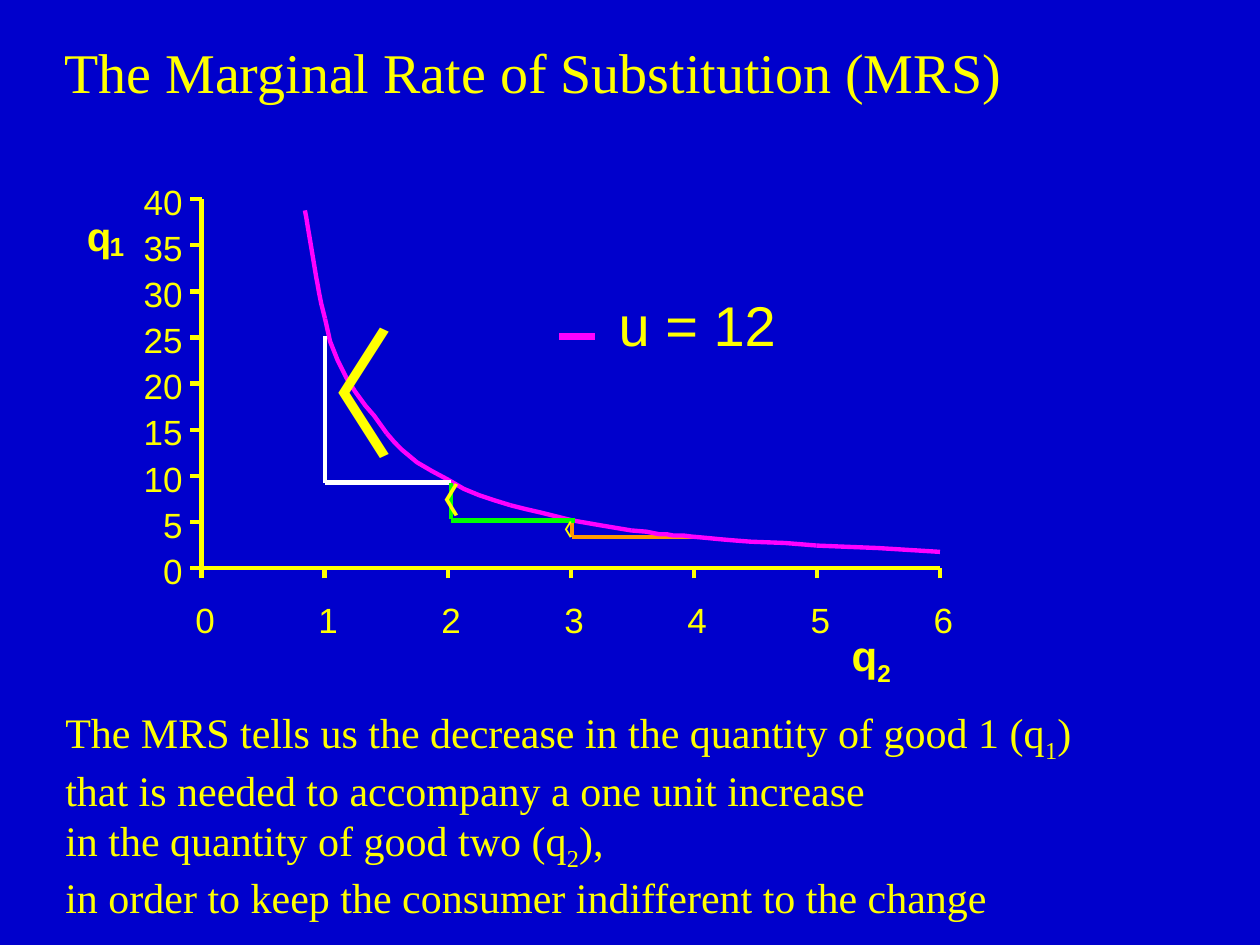
"""Build the slide on the marginal rate of substitution."""
from itertools import pairwise

from lxml import etree
from pptx import Presentation
from pptx.dml.color import RGBColor
from pptx.enum.shapes import MSO_CONNECTOR
from pptx.enum.text import MSO_ANCHOR, MSO_AUTO_SIZE, PP_ALIGN
from pptx.oxml.ns import qn
from pptx.util import Inches, Pt

BLUE = RGBColor(0x00, 0x00, 0xCC)
YELLOW = RGBColor(0xFF, 0xFF, 0x00)
MAGENTA = RGBColor(0xFF, 0x00, 0xFF)
ORANGE = RGBColor(0xFF, 0x99, 0x00)
WHITE = RGBColor(0xFF, 0xFF, 0xFF)
GREEN = RGBColor(0x00, 0xFF, 0x00)
SANS, SERIF = "Arial", "Times New Roman"

prs = Presentation()
prs.slide_width, prs.slide_height = Inches(10), Inches(7.5)
s = prs.slides.add_slide(prs.slide_layouts[5])
s.background.fill.solid()
s.background.fill.fore_color.rgb = BLUE


def add_line(x1, y1, x2, y2, color, width=2.5):
    """Draw a straight line between two points in inches."""
    ln = s.shapes.add_connector(
        MSO_CONNECTOR.STRAIGHT, Inches(x1), Inches(y1), Inches(x2), Inches(y2))
    ln.line.color.rgb = color
    ln.line.width = Pt(width)
    etree.SubElement(ln._element.spPr, qn("a:effectLst"))


def add_text(at, paragraphs, size, font=SANS, bold=False, inset=0, wrap=False, sp=None):
    """Write paragraphs of runs, in which every second run is a subscript."""
    box = [Inches(v) for v in at]
    sp = sp or s.shapes.add_textbox(*box)
    sp.left, sp.top, sp.width, sp.height = box
    tf = sp.text_frame
    tf.word_wrap = wrap
    tf.auto_size = MSO_AUTO_SIZE.SHAPE_TO_FIT_TEXT
    tf.vertical_anchor = MSO_ANCHOR.TOP
    tf.margin_left = tf.margin_right = Inches(inset)
    tf.margin_top = tf.margin_bottom = Inches(inset / 2)
    for i, runs in enumerate(paragraphs):
        p = tf.add_paragraph() if i else tf.paragraphs[0]
        p.alignment = PP_ALIGN.LEFT
        for j, text in enumerate(runs):
            r = p.add_run()
            r.text = text
            r.font.size, r.font.name, r.font.bold = Pt(size), font, bold
            r.font.color.rgb = YELLOW
            if j % 2:
                r.font._element.set("baseline", "-25000")


add_text((0.41, 0.25, 7.65, 0.64), [["The Marginal Rate of Substitution (MRS)"]],
         32, SERIF, inset=0.1, sp=s.shapes.title)

add_line(4.54, 4.26, 5.54, 4.26, ORANGE)
add_line(4.54, 4.26, 4.54, 4.12, ORANGE)

X0, Y0, X_END, Y_END = 1.6, 4.51, 7.46, 1.58
X_STEP, Y_STEP = (X_END - X0) / 6, (Y0 - Y_END) / 8
add_line(X0, Y_END, X0, Y0, YELLOW)
add_line(X0, Y0, X_END, Y0, YELLOW)
for i in range(9):
    y = Y0 - i * Y_STEP
    label = str(5 * i)
    width = 0.155 * len(label)
    add_line(X0 - 0.09, y, X0, y, YELLOW)
    add_text((1.45 - width, y - 0.15, width, 0.33), [[label]], 20)
for i in range(7):
    x = X0 + i * X_STEP
    add_line(x, Y0 + 0.08, x, Y0, YELLOW)
    add_text((x - 0.05, 4.75, 0.16, 0.33), [[str(i)]], 20)

add_text((6.76, 5, 0.4, 0.46), [["q", "2"]], 24, bold=True, wrap=True)
add_text((0.69, 1.68, 0.2, 0.38), [["q"]], 23, bold=True)
add_text((0.87, 1.83, 0.12, 0.25), [["1"]], 15, bold=True)

curve = [
    (2.42, 1.67), (2.43, 1.72), (2.44, 1.78), (2.46, 1.9), (2.48, 2.02),
    (2.5, 2.14), (2.51, 2.2), (2.52, 2.25), (2.53, 2.31), (2.54, 2.36),
    (2.55, 2.41), (2.56, 2.45), (2.57, 2.49), (2.58, 2.53),
    (2.62, 2.71), (2.68, 2.86), (2.75, 3), (2.82, 3.11), (2.9, 3.22),
    (2.97, 3.3), (3.02, 3.37), (3.07, 3.44),
    (3.13, 3.51), (3.19, 3.57), (3.25, 3.62), (3.31, 3.67), (3.43, 3.74),
    (3.56, 3.81),
    (3.68, 3.88), (3.8, 3.93), (3.92, 3.97), (4.05, 4.01),
    (4.17, 4.04), (4.3, 4.07), (4.54, 4.13),
    (4.77, 4.17), (5.01, 4.21),
    (5.13, 4.22), (5.23, 4.24), (5.29, 4.24), (5.34, 4.25), (5.42, 4.25),
    (5.5, 4.26),
    (5.61, 4.27), (5.71, 4.28), (5.83, 4.29), (5.96, 4.3), (6.23, 4.31),
    (6.48, 4.33),
    (6.97, 4.35), (7.46, 4.38),
]
joints = [2.42, 2.58, 3.07, 3.56, 4.05, 4.54, 5.01, 5.5, 6.48, 7.46]
for start, end in pairwise(joints):
    points = [(Inches(x), Inches(y)) for x, y in curve if start <= x <= end]
    fb = s.shapes.build_freeform(*points[0])
    fb.add_line_segments(points[1:], close=False)
    sp = fb.convert_to_shape()
    sp.shadow.inherit = False
    sp.fill.background()
    sp.line.color.rgb = MAGENTA
    sp.line.width = Pt(2.5)

add_line(4.44, 2.67, 4.72, 2.67, MAGENTA, 4)
add_text((4.91, 2.31, 1.25, 0.53), [["u = 12"]], 32)

add_text((0.42, 5.56, 8.4, 1.81), [
    ["The MRS tells us the decrease in the quantity of good 1 (q", "1", ")"],
    ["that is needed to accompany a one unit increase"],
    ["in the quantity of good two (q", "2", "),"],
    ["in order to keep the consumer indifferent to the change"],
], 24, SERIF, inset=0.1, wrap=True)

add_line(2.58, 2.67, 2.58, 3.83, WHITE)
add_line(2.58, 3.83, 3.58, 3.83, WHITE)
add_line(3.58, 4.13, 4.56, 4.13, GREEN)
add_line(3.58, 4.12, 3.58, 3.83, GREEN)

for at, size, bold in [
    ((1.94, 2.38, 0.57, 1.44), 80, False),
    ((3.28, 3.75, 0.29, 0.44), 20, True),
    ((4.31, 4.07, 0.24, 0.27), 10, True),
]:
    add_text(at, [["〈"]], size, bold=bold, inset=0.1)

prs.save("out.pptx")
